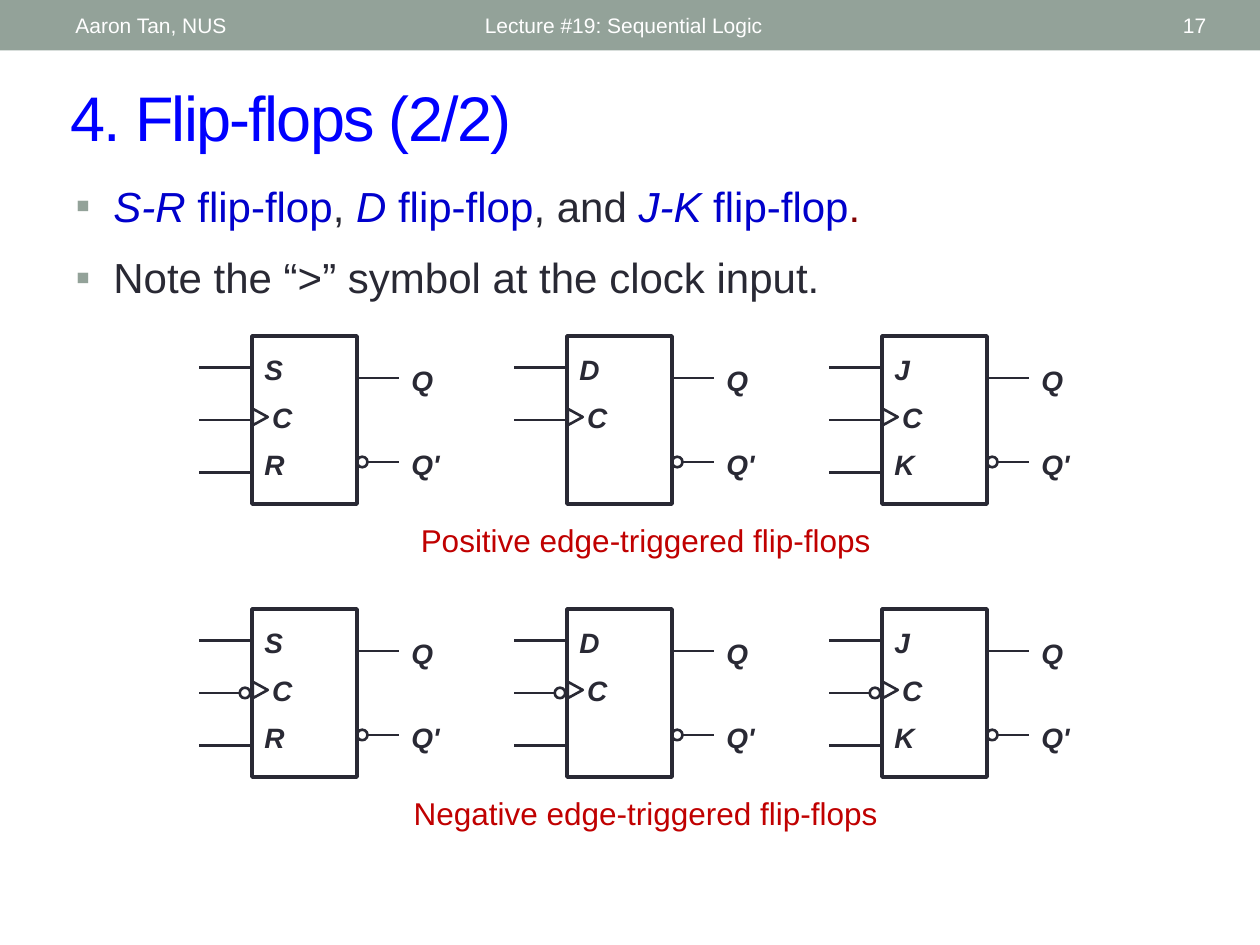
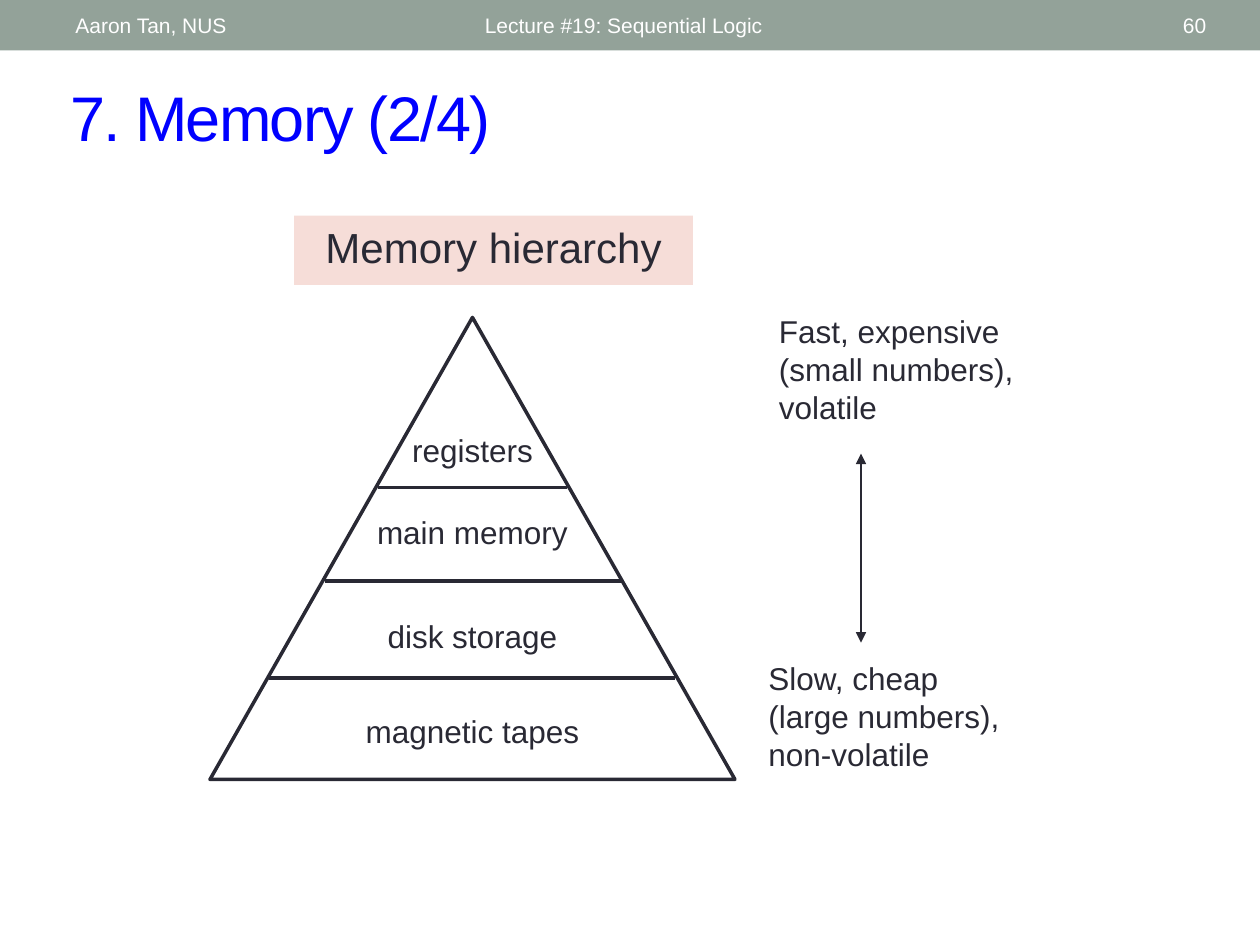
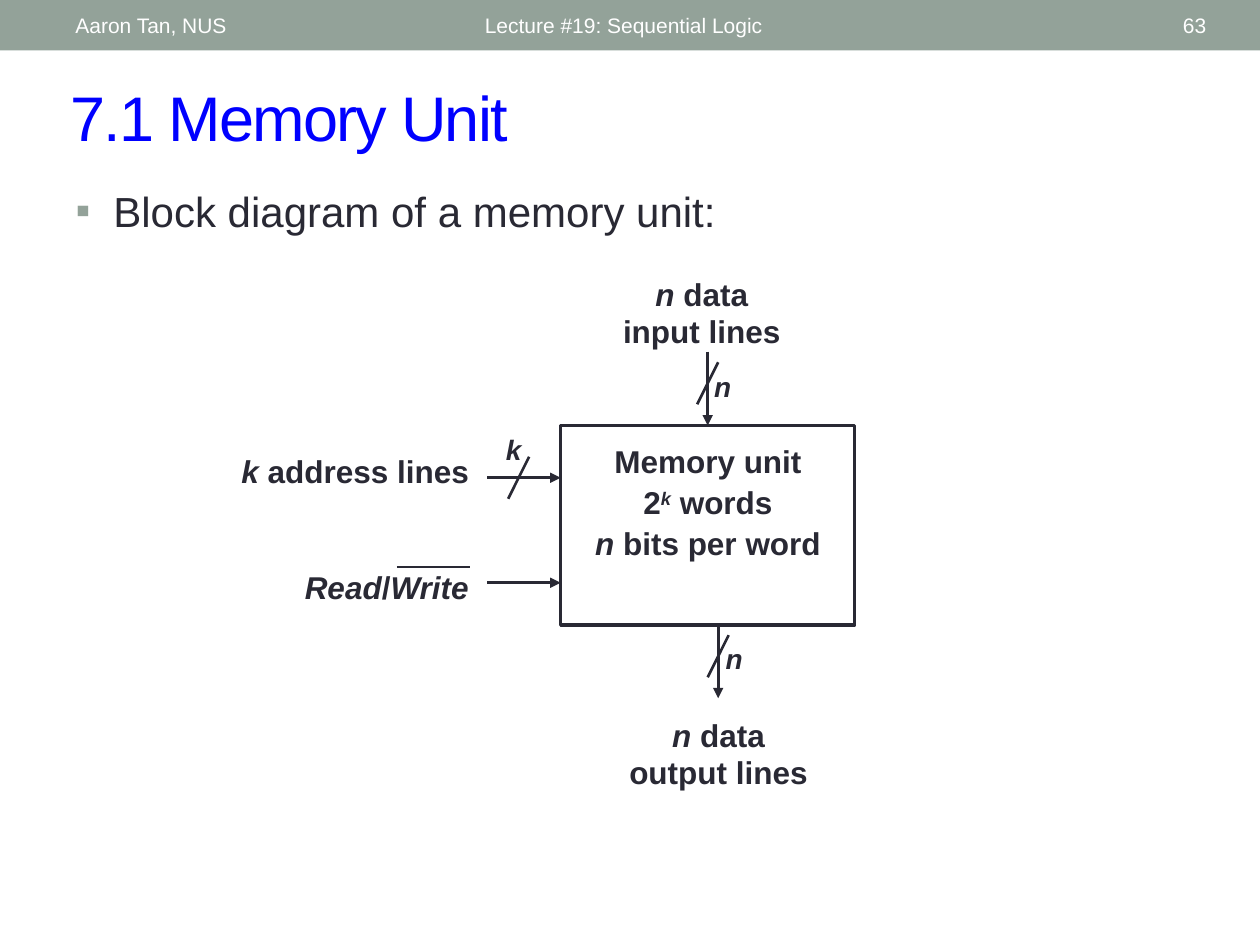
"""Build three lecture slides on flip-flops and memory."""
from lxml.etree import SubElement
from pptx import Presentation
from pptx.dml.color import RGBColor
from pptx.enum.shapes import MSO_CONNECTOR, MSO_SHAPE
from pptx.enum.text import MSO_ANCHOR, MSO_AUTO_SIZE, PP_ALIGN
from pptx.oxml.ns import qn
from pptx.util import Pt

INK = RGBColor(0x29, 0x29, 0x34)
SAGE = RGBColor(0x93, 0xA2, 0x99)
WHITE = RGBColor(0xFF, 0xFF, 0xFF)
TITLE_BLUE = RGBColor(0x00, 0x00, 0xFF)
TERM_BLUE = RGBColor(0x00, 0x00, 0xCC)
CAPTION_RED = RGBColor(0xC0, 0x00, 0x00)
MAROON = RGBColor(0x80, 0x00, 0x00)
PINK = RGBColor(0xF6, 0xDD, 0xD8)
FONT = "Arial"
LEFT, CENTER, RIGHT = PP_ALIGN.LEFT, PP_ALIGN.CENTER, PP_ALIGN.RIGHT

AUTHOR = "Aaron Tan, NUS"
LECTURE = "Lecture #19: Sequential Logic"
TERM = {"color": TERM_BLUE}
TERM_ITALIC = {"color": TERM_BLUE, "italic": True}
ITALIC = {"italic": True}
POWER = {"italic": True, "raised": True}

FLIP_FLOP_POINTS = [
    [("S-R", TERM_ITALIC), (" flip-flop", TERM), ", ", ("D", TERM_ITALIC),
     (" flip-flop", TERM), ", and ", ("J-K", TERM_ITALIC),
     (" flip-flop", TERM), (".", {"color": MAROON})],
    ["Note the “>” symbol at the clock input."],
]
FLIP_FLOPS = [["S", " C", "R"], ["D", " C"], ["J", " C", "K"]]
EDGE_ROWS = [
    {"caption": "Positive edge-triggered flip-flops", "negative": False, "inputs": (3, 2, 3)},
    {"caption": "Negative edge-triggered flip-flops", "negative": True, "inputs": (3, 3, 3)},
]

LEVEL_LINES = [(216, 324, 278.6), (185.8, 355.7, 332), (154, 386, 387.4)]
LEVELS = [("registers", 242.6), ("main memory", 289.4),
          ("disk storage", 349.2), ("magnetic tapes", 403.2)]
EXTREMES = [("Fast, expensive (small numbers), volatile", 438, 175),
            ("Slow, cheap (large numbers), non-volatile", 432, 373)]

MEMORY_POINTS = [["Block diagram of a memory unit:"]]
MEMORY_UNIT = [["Memory unit"], ["2", ("k", POWER), " words"],
               [("n", ITALIC), " bits per word"]]
PORTS = [
    ([("k", ITALIC), " address lines"], (128, 255, 150, 29)),
    ([("Read", ITALIC), "/", ("Write", ITALIC)], (164, 321, 114, 29)),
    ([("n", ITALIC), " data input lines"], (344, 153.4, 114, 50)),
    ([("n", ITALIC), " data output lines"], (350.6, 405.4, 120, 50)),
]
BUS_WIDTHS = [("k", 278.6, 243.4), ("n", 398, 207.4), ("n", 404.6, 363)]
BUS_SLASHES = [(302.4, 261), (410.4, 207), (416.4, 363)]


def write(frame, paragraphs, size, color=INK, align=LEFT, gap=0,
          bold=None, italic=None, bullet=False):
    """Fill a text frame with paragraphs made of plain or styled runs."""
    for index, runs in enumerate(paragraphs):
        paragraph = frame.paragraphs[0] if index == 0 else frame.add_paragraph()
        paragraph.alignment = align
        paragraph.space_before = Pt(gap if index else 0)
        if bullet:
            add_bullet(paragraph)
        font = paragraph.font
        font.name, font.size, font.bold, font.italic = FONT, Pt(size), bold, italic
        mixed = any("color" in run[1] for run in runs if isinstance(run, tuple))
        if not mixed:
            font.color.rgb = color
        for content in runs:
            words, style = content if isinstance(content, tuple) else (content, {})
            run = paragraph.add_run()
            run.text = words
            if mixed:
                run.font.color.rgb = style.get("color", color)
            if "italic" in style:
                run.font.italic = True
            if "raised" in style:
                run.font._element.set("baseline", "30000")


def add_bullet(paragraph):
    """Give a paragraph a hanging square bullet."""
    properties = paragraph._p.get_or_add_pPr()
    properties.set("marL", str(Pt(21.6)))
    properties.set("indent", str(-Pt(21.6)))
    tint = SubElement(properties, qn("a:buClr"))
    SubElement(tint, qn("a:srgbClr"), val=str(SAGE))
    SubElement(properties, qn("a:buFont"), typeface=FONT)
    SubElement(properties, qn("a:buChar"), char="▪")


def add_label(slide, paragraphs, box, size, anchor=MSO_ANCHOR.TOP, **style):
    """Add a wrapping text box."""
    frame = slide.shapes.add_textbox(*map(Pt, box)).text_frame
    frame.word_wrap = True
    frame.vertical_anchor = anchor
    write(frame, paragraphs, size, **style)


def add_figure(slide, preset, box, width=1.5, fill=None):
    """Add an outlined shape, or a filled one without an outline."""
    figure = slide.shapes.add_shape(preset, *map(Pt, box))
    figure.shadow.inherit = False
    if fill is None:
        figure.fill.background()
        figure.line.color.rgb = INK
        figure.line.width = Pt(width)
    else:
        figure.fill.solid()
        figure.fill.fore_color.rgb = fill
        figure.line.fill.background()
    return figure


def add_wire(slide, start, end, width=1.5, arrows=()):
    """Add a straight line with arrowheads at the named ends."""
    wire = slide.shapes.add_connector(MSO_CONNECTOR.STRAIGHT, *map(Pt, (*start, *end)))
    wire.line.color.rgb = INK
    wire.line.width = Pt(width)
    for arrow in arrows:
        SubElement(wire.line._get_or_add_ln(), qn(f"a:{arrow}"), type="triangle")
    SubElement(wire._element.spPr, qn("a:effectLst"))
    return wire


def start_slide(deck, layout, title, number):
    """Add a slide with the header band and the title."""
    slide = deck.slides.add_slide(deck.slide_layouts[layout])
    add_figure(slide, MSO_SHAPE.RECTANGLE, (0, 0, 720, 28.8), fill=SAGE)
    for words, left, width, align in ((LECTURE, 270, 324, LEFT),
                                      (number, 628, 68.4, RIGHT),
                                      (AUTHOR, 36, 228, LEFT)):
        add_label(slide, [[words]], (left, 1.5, width, 26), 12,
                  anchor=MSO_ANCHOR.MIDDLE, color=WHITE, align=align)
    heading = slide.shapes.title
    place(heading, (33, 41, 663, 50.4))
    heading.text_frame.vertical_anchor = MSO_ANCHOR.MIDDLE
    write(heading.text_frame, [[title]], 36, color=TITLE_BLUE)
    heading.text_frame.paragraphs[0].runs[0].font._element.set("spc", "-100")
    return slide


def place(holder, box):
    """Move a placeholder and turn off its text fitting."""
    holder.left, holder.top, holder.width, holder.height = map(Pt, box)
    holder.text_frame.auto_size = MSO_AUTO_SIZE.NONE


def add_points(slide, points, top, height):
    """Fill the body placeholder with a bulleted list."""
    body = slide.placeholders[1]
    place(body, (36, top, 648, height))
    write(body.text_frame, points, 24, gap=12, bullet=True)


def add_flip_flop(slide, x, y, pins, inputs, negative):
    """Draw one flip-flop with its wires, clock mark and labels."""
    block = add_figure(slide, MSO_SHAPE.RECTANGLE, (x, y, 60, 96), width=2)
    for pin in range(inputs):
        level = y + 18 + 30 * pin
        inverted = negative and pin == 1
        wire = add_wire(slide, (x - 30, level), (x - 6 if inverted else x, level))
        if pin == 1 and not negative:
            wire.end_connect(block, 1)
    add_wire(slide, (x + 60, y + 24), (x + 84, y + 24))
    add_wire(slide, (x + 66, y + 72), (x + 84, y + 72))
    bubbles = [(x + 60, y + 69)] + ([(x - 7, y + 45)] if negative else [])
    for left, top in bubbles:
        add_figure(slide, MSO_SHAPE.OVAL, (left, top, 6, 6))
    clock = add_figure(slide, MSO_SHAPE.ISOSCELES_TRIANGLE, (x, y + 42, 9.4, 8.6))
    clock.rotation = 90
    add_label(slide, [[pin] for pin in pins], (x, y + 6, 42, 84), 16,
              gap=8, bold=True, italic=True)
    add_label(slide, [["Q"], ["Q'"]], (x + 84, y + 12, 36, 76), 16,
              gap=28.8, bold=True, italic=True)


def build_flip_flops(deck):
    """Build the flip-flop slide."""
    slide = start_slide(deck, 1, "4. Flip-flops (2/2)", "17")
    add_points(slide, FLIP_FLOP_POINTS, 99.4, 86.4)
    for row, edge in enumerate(EDGE_ROWS):
        top = 192 + 156 * row
        for column, (pins, inputs) in enumerate(zip(FLIP_FLOPS, edge["inputs"])):
            add_flip_flop(slide, 144 + 180 * column, top, pins, inputs, edge["negative"])
        add_label(slide, [[edge["caption"]]], (225, top + 102, 288, 29), 18,
                  color=CAPTION_RED, align=CENTER)


def build_hierarchy(deck):
    """Build the memory hierarchy slide."""
    slide = start_slide(deck, 5, "7. Memory (2/4)", "60")
    add_figure(slide, MSO_SHAPE.ISOSCELES_TRIANGLE, (120, 181.4, 300, 264), width=2)
    for left, right, level in LEVEL_LINES:
        add_wire(slide, (left, level), (right, level), width=2)
    for level, top in LEVELS:
        add_label(slide, [[level]], (198, top, 144, 29), 18, align=CENTER)
    for words, left, top in EXTREMES:
        add_label(slide, [[words]], (left, top, 156, 72), 18)
    add_wire(slide, (492, 259.2), (492, 367.2), width=1, arrows=("headEnd", "tailEnd"))
    banner = add_figure(slide, MSO_SHAPE.RECTANGLE, (168, 123.2, 228, 39.6), fill=PINK)
    banner.text_frame.vertical_anchor = MSO_ANCHOR.TOP
    write(banner.text_frame, [["Memory hierarchy"]], 24, align=CENTER)


def build_memory_unit(deck):
    """Build the memory unit slide."""
    slide = start_slide(deck, 1, "7.1 Memory Unit", "63")
    add_points(slide, MEMORY_POINTS, 102.2, 41)
    unit = add_figure(slide, MSO_SHAPE.RECTANGLE, (320.4, 243.2, 168, 114), width=2)
    add_label(slide, MEMORY_UNIT, (332.6, 249.2, 144, 76), 18,
              align=CENTER, gap=1.8, bold=True)
    for level in (273, 333):
        add_wire(slide, (278.4, level), (320.4, level), arrows=("tailEnd",))
    add_wire(slide, (410.4, 357.2), (410.4, 399), arrows=("tailEnd",))
    data_input = add_wire(slide, (404.4, 201), (404.4, 243.2), arrows=("tailEnd",))
    data_input.end_connect(unit, 0)
    for right, top in BUS_SLASHES:
        add_wire(slide, (right, top), (right - 12, top + 24))
    add_wire(slide, (226.8, 324), (268.6, 324), width=1.25)
    for runs, box in PORTS:
        add_label(slide, [runs], box, 18, align=CENTER, bold=True)
    for bits, left, top in BUS_WIDTHS:
        add_label(slide, [[bits]], (left, top, 30, 26.6), 16,
                  align=CENTER, bold=True, italic=True)


def main():
    """Build and save the deck."""
    deck = Presentation()
    deck.slide_width, deck.slide_height = Pt(720), Pt(540)
    build_flip_flops(deck)
    build_hierarchy(deck)
    build_memory_unit(deck)
    deck.save("out.pptx")


if __name__ == "__main__":
    main()
